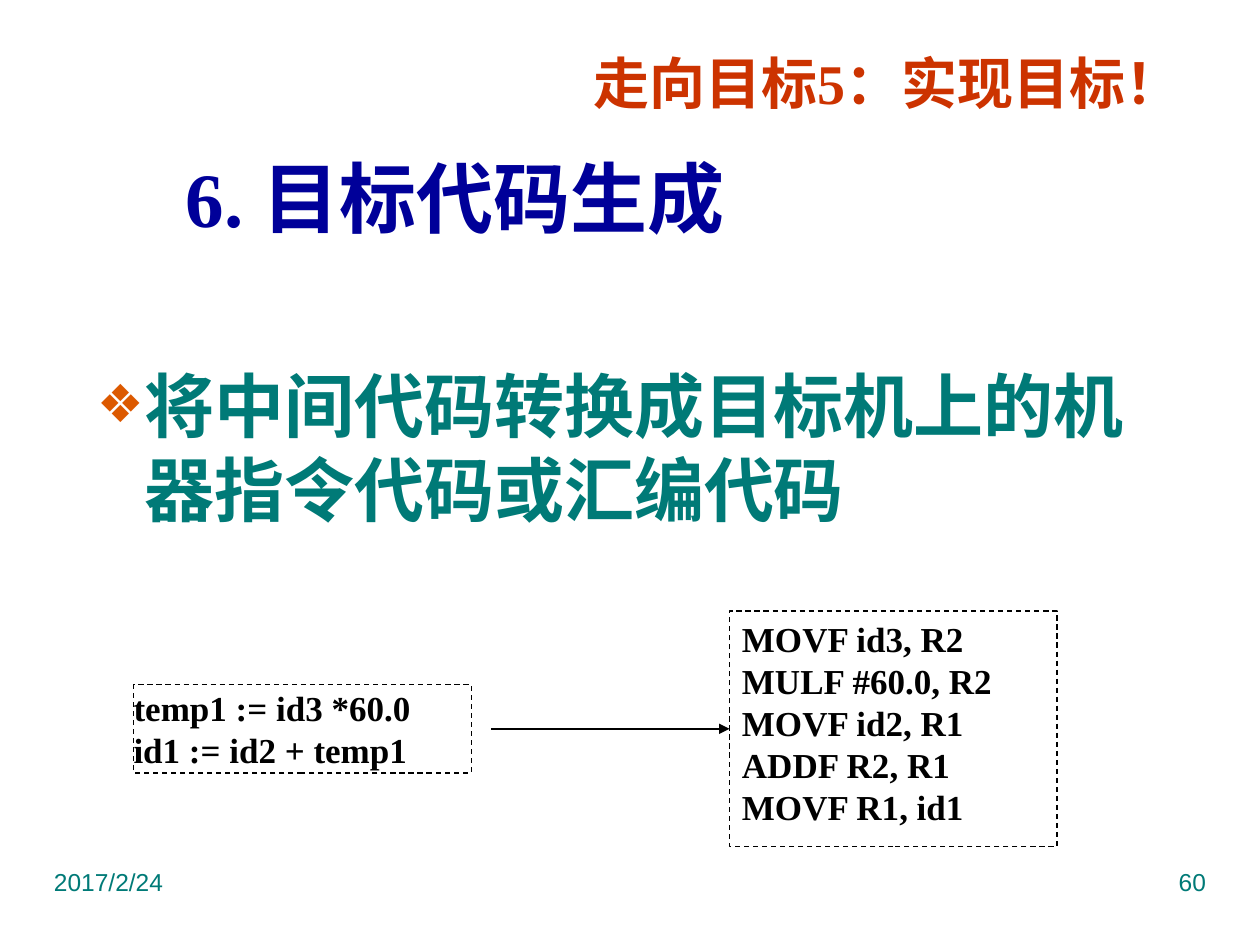
from lxml import etree
from pptx import Presentation
from pptx.dml.color import RGBColor
from pptx.enum.dml import MSO_LINE
from pptx.enum.shapes import MSO_CONNECTOR, MSO_SHAPE
from pptx.enum.text import MSO_ANCHOR, PP_ALIGN
from pptx.oxml.ns import qn
from pptx.util import Inches, Pt

DASH = MSO_LINE.DASH
STRAIGHT = MSO_CONNECTOR.STRAIGHT
RECTANGLE = MSO_SHAPE.RECTANGLE
TOP, MIDDLE = MSO_ANCHOR.TOP, MSO_ANCHOR.MIDDLE
LEFT, CENTER = PP_ALIGN.LEFT, PP_ALIGN.CENTER
RIGHT, JUSTIFY = PP_ALIGN.RIGHT, PP_ALIGN.JUSTIFY

BLACK = RGBColor(0x00, 0x00, 0x00)
TEAL = RGBColor(0x00, 0x7A, 0x77)
NAVY = RGBColor(0x00, 0x00, 0x99)
RED = RGBColor(0xCC, 0x33, 0x00)

SERIF, SANS = "Times New Roman", "Arial"
CELL = Inches(0.1)


def grid(*cells):
    return [round(cell * CELL) for cell in cells]


def write(shape, lines, size, color, font=SERIF, bold=True, align=LEFT,
          anchor=TOP, spacing=None):
    frame = shape.text_frame
    frame.word_wrap = True
    frame.vertical_anchor = anchor
    frame.text = "\n".join(lines)
    for paragraph in frame.paragraphs:
        paragraph.alignment = align
        if spacing:
            paragraph.line_spacing = spacing
        for run in paragraph.runs:
            run.font.name = font
            run.font.size = Pt(size)
            run.font.bold = bold
            run.font.color.rgb = color
    return frame


def add_label(slide, box, text, size, color, **style):
    label = slide.shapes.add_textbox(*grid(*box))
    return write(label, [text], size, color, **style)


def add_statement(slide, box, text):
    frame = add_label(slide, box, text, 40, TEAL)
    properties = frame.paragraphs[0]._p.get_or_add_pPr()
    properties.set("marL", str(Inches(0.38)))
    properties.set("indent", str(-Inches(0.38)))
    bullet_color = etree.SubElement(properties, qn("a:buClr"))
    etree.SubElement(bullet_color, qn("a:srgbClr"), val="DC5900")
    etree.SubElement(properties, qn("a:buSzPct"), val="75000")
    etree.SubElement(properties, qn("a:buFont"), typeface=SANS)
    etree.SubElement(properties, qn("a:buChar"), char="❖")


def add_code(slide, box, lines, anchor=TOP):
    code = slide.shapes.add_shape(RECTANGLE, *grid(*box))
    code.shadow.inherit = False
    code.fill.background()
    code.line.color.rgb = BLACK
    code.line.width = Pt(0.75)
    code.line.dash_style = DASH
    write(code, lines, 20, BLACK, align=JUSTIFY, anchor=anchor)
    return code


def add_translation(slide, box):
    left, top, width, height = box
    intermediate_height = 7
    intermediate = add_code(
        slide,
        (left, top + (height - intermediate_height) / 2, 26.8, intermediate_height),
        ["temp1 := id3 *60.0", "id1 := id2 + temp1"], MIDDLE)
    frame = intermediate.text_frame
    frame.margin_left = frame.margin_right = 0
    frame.margin_top = frame.margin_bottom = 0
    target = add_code(
        slide, (left + width - 26, top, 26, height),
        ["MOVF id3, R2", "MULF #60.0, R2", "MOVF id2, R1",
         "ADDF R2, R1", "MOVF R1, id1"])
    middle = target.top + target.height // 2
    arrow = slide.shapes.add_connector(
        STRAIGHT, round((left + 28.4) * CELL), middle, target.left, middle)
    arrow.end_connect(target, 1)
    arrow.line.color.rgb = BLACK
    arrow.line.width = Pt(0.75)
    etree.SubElement(arrow.line._get_or_add_ln(), qn("a:tailEnd"), type="triangle")
    etree.SubElement(arrow._element.spPr, qn("a:effectLst"))


def add_footer(slide, box, date, number):
    left, top, width, height = box
    style = {"font": SANS, "bold": False}
    add_label(slide, (left, top, 25, height), date, 14, TEAL, **style)
    add_label(slide, (left + width - 25, top, 25, height), number, 14, TEAL,
              align=RIGHT, **style)


def main():
    deck = Presentation()
    deck.slide_width, deck.slide_height = grid(100, 75)
    slide = deck.slides.add_slide(deck.slide_layouts[6])
    add_footer(slide, (3.3, 68.3, 93.4, 5.2), "2017/2/24", "60")
    add_label(slide, (3.3, 12, 65.7, 7.2), "6. 目标代码生成", 44, NAVY,
              align=CENTER, anchor=MIDDLE)
    add_statement(slide, (6.7, 28.3, 85, 24.6),
                  "将中间代码转换成目标机上的机器指令代码或汇编代码")
    add_label(slide, (46.1, 2.8, 51.2, 6.9), "走向目标5：实现目标！", 32, RED,
              spacing=1.1)
    add_translation(slide, (10.6, 48.5, 73.3, 18.7))
    deck.save("out.pptx")


if __name__ == "__main__":
    main()
